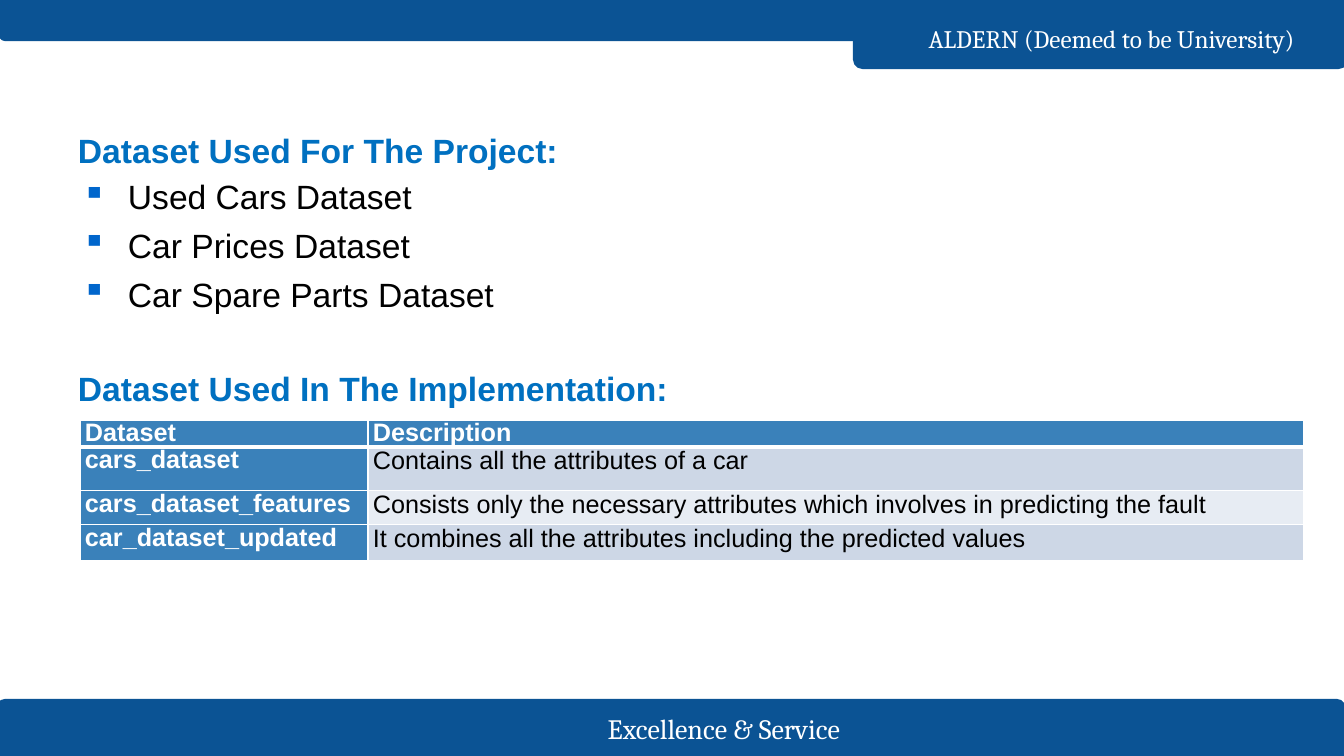
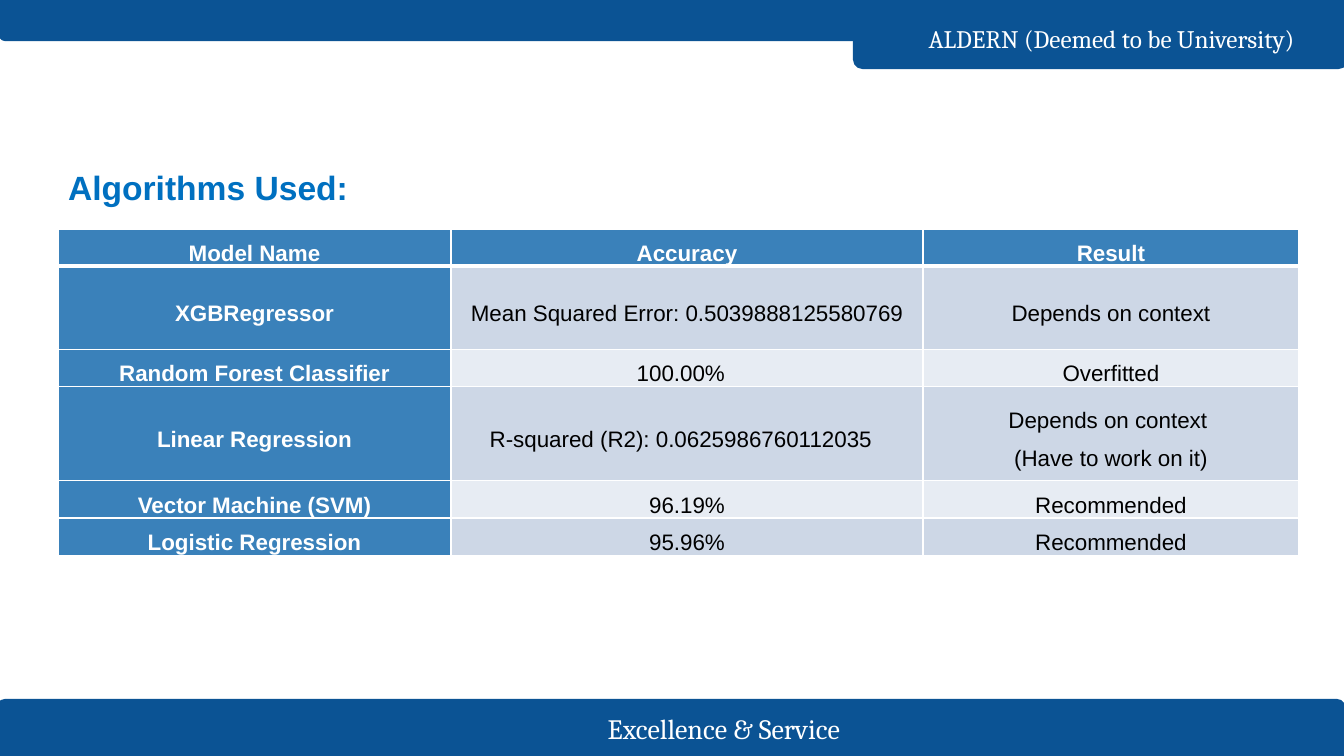
"""Build two slides on the datasets and algorithms of a car project."""
from dataclasses import dataclass, field
from typing import Any

from lxml import etree
from pptx import Presentation
from pptx import util as u
from pptx.dml.color import RGBColor
from pptx.enum import shapes, text
from pptx.oxml import ns

EMU_PER_PX = 914400 / 100.8
Box = tuple[int, int, int, int]
AL, ANC = text.PP_ALIGN, text.MSO_ANCHOR


@dataclass(frozen=True)
class Type:
    size: int
    color: str
    bold: bool = False
    font: str = "Arial"


@dataclass(frozen=True)
class Theme:
    band: str = "0B5394"
    bullet: str = "0066CC"
    key: str = "3A81BA"
    rows: tuple[str, str] = ("CDD7E6", "E7ECF3")
    rule: str = "FFFFFF"
    title: Type = Type(24, "0070C0", True)
    body: Type = Type(24, "000000")
    footer: Type = Type(20, "FFFFFF", font="Cambria")
    header: Type = Type(18, "FFFFFF", font="Cambria")


THEME = Theme()


@dataclass(frozen=True)
class Band:
    box: Box
    rotation: int


@dataclass(frozen=True)
class Label:
    box: Box
    lines: tuple[str, ...]
    type: Type
    anchor: Any = ANC.BOTTOM
    para: dict[str, Any] = field(default_factory=lambda: {"alignment": AL.LEFT})


@dataclass(frozen=True)
class Grid:
    origin: tuple[int, int]
    cols: tuple[int, ...]
    heights: tuple[int, ...]
    rows: tuple[tuple[str, ...], ...]
    size: int
    margin: int
    anchor: Any
    para: dict[str, Any]
    value_para: dict[str, Any]


def px(n: float) -> int:
    """Turn pixels into EMU."""
    return u.Emu(round(n * EMU_PER_PX))


def rgb(color: str) -> RGBColor:
    """Turn a hex string into a colour."""
    return RGBColor.from_string(color)


def apply(obj: Any, values: dict[str, Any]) -> None:
    """Set attributes from a dict of format values."""
    for name, value in values.items():
        setattr(obj, name, value)


def write(tf: Any, lines: tuple[str, ...], style: Type, para: dict[str, Any]) -> None:
    """Write one formatted paragraph for each line."""
    for i, line in enumerate(lines):
        p = tf.add_paragraph() if i else tf.paragraphs[0]
        apply(p, para)
        r = p.add_run()
        r.text = line
        apply(r.font, {"size": u.Pt(style.size), "bold": style.bold, "name": style.font})
        r.font.color.rgb = rgb(style.color)


def fill_label(sp: Any, label: Label) -> Any:
    """Place a text shape and write its label."""
    apply(sp, dict(zip(("left", "top", "width", "height"), map(px, label.box))))
    tf = sp.text_frame
    apply(tf, {"word_wrap": True, "auto_size": text.MSO_AUTO_SIZE.NONE,
               "vertical_anchor": label.anchor})
    apply(tf, {f"margin_{side}": px(10) for side in ("left", "top", "right", "bottom")})
    write(tf, label.lines, label.type, label.para)
    return sp


def add_label(slide: Any, label: Label) -> Any:
    """Add a text box with its label."""
    return fill_label(slide.shapes.add_textbox(*map(px, label.box)), label)


def add_band(slide: Any, band: Band) -> Any:
    """Add a band with two rounded corners."""
    sp = slide.shapes.add_shape(shapes.MSO_SHAPE.ROUND_2_SAME_RECTANGLE, *map(px, band.box))
    apply(sp, {"rotation": band.rotation})
    sp.adjustments[0], sp.adjustments[1] = 0.125, 0
    sp.shadow.inherit = False
    sp.fill.solid()
    sp.fill.fore_color.rgb = rgb(THEME.band)
    sp.line.color.rgb = rgb(THEME.band)
    sp.line.width = u.Pt(1.5)
    return sp


def add_bullets(sp: Any) -> None:
    """Give each paragraph a hanging square bullet."""
    for p in sp.text_frame.paragraphs:
        pPr = p._p.get_or_add_pPr()
        pPr.set("marL", str(px(50)))
        pPr.set("indent", str(px(-46)))
        color = etree.SubElement(pPr, ns.qn("a:buClr"))
        etree.SubElement(color, ns.qn("a:srgbClr"), val=THEME.bullet)
        etree.SubElement(pPr, ns.qn("a:buChar"), char="▪")


def rule_cell(cell: Any, bottom: int) -> None:
    """Draw the four borders of a cell."""
    tcPr = cell._tc.get_or_add_tcPr()
    for side, points in (("L", 1), ("R", 1), ("T", 1), ("B", bottom)):
        ln = etree.SubElement(tcPr, ns.qn(f"a:ln{side}"), w=str(u.Pt(points)))
        solid = etree.SubElement(ln, ns.qn("a:solidFill"))
        etree.SubElement(solid, ns.qn("a:srgbClr"), val=THEME.rule)


def add_grid(slide: Any, grid: Grid) -> None:
    """Add a table with a coloured header row and first column."""
    size = (sum(grid.cols), sum(grid.heights))
    table = slide.shapes.add_table(len(grid.heights), len(grid.cols),
                                   *map(px, grid.origin + size)).table
    apply(table, {"first_row": False, "horz_banding": False})
    for col, width in zip(table.columns, grid.cols):
        col.width = px(width)
    for i, (row, height, values) in enumerate(zip(table.rows, grid.heights, grid.rows)):
        row.height = px(height)
        for j, (cell, value) in enumerate(zip(row.cells, values)):
            is_key = i == 0 or j == 0
            apply(cell, {"margin_left": px(grid.margin), "margin_right": px(grid.margin),
                         "margin_top": 0, "margin_bottom": 0,
                         "vertical_anchor": grid.anchor})
            rule_cell(cell, 1 if i else 3)
            cell.fill.solid()
            cell.fill.fore_color.rgb = rgb(THEME.key if is_key else THEME.rows[(i - 1) % 2])
            style = Type(grid.size, "FFFFFF" if is_key else "000000", is_key)
            para = grid.para if is_key else grid.value_para
            write(cell.text_frame, tuple(value.split("\n")), style, para)


def heading(left: int, top: int, line: str) -> Label:
    """Describe a heading in the shared title style."""
    return Label((left, top, 1210, 89), (line,), THEME.title)


BANDS = (Band((-2, 700, 1346, 56), 0), Band((0, 0, 1346, 40), 180),
         Band((854, 0, 493, 68), 180))
FRAME_LABELS = (
    Label((433, 712, 582, 32), ("Excellence & Service",), THEME.footer, ANC.MIDDLE,
          {"alignment": AL.CENTER}),
    Label((902, 15, 419, 40), ("ALDERN (Deemed to be University)",), THEME.header,
          ANC.MIDDLE, {"alignment": AL.CENTER, "line_spacing": 1.2}),
)
DATASETS = Label((68, 166, 1210, 176),
                 ("Used Cars Dataset", "Car Prices Dataset", "Car Spare Parts Dataset"),
                 THEME.body, ANC.TOP, {"alignment": AL.JUSTIFY, "space_before": u.Pt(6)})
DATASET_GRID = Grid(
    (80, 420), (288, 936), (19, 44, 34, 36),
    (("Dataset", "Description"),
     ("cars_dataset", "Contains all the attributes of a car"),
     ("cars_dataset_features",
      "Consists only the necessary attributes which involves in predicting the fault"),
     ("car_dataset_updated",
      "It combines all the attributes including the predicted values")),
    18, 5, ANC.TOP, {"line_spacing": 0.95, "space_after": u.Pt(6)},
    {"space_after": u.Pt(6)})
CENTERED = {"alignment": AL.CENTER, "line_spacing": 1.5}
MODEL_GRID = Grid(
    (58, 229), (393, 472, 376), (17, 83, 34, 94, 34, 19),
    (("Model Name", "Accuracy", "Result"),
     ("XGBRegressor", "Mean Squared Error: 0.5039888125580769", "Depends on context"),
     ("Random Forest Classifier", "100.00% \u00a0", "Overfitted"),
     ("Linear Regression", "R-squared (R2): 0.0625986760112035 \u00a0",
      "Depends on context \n(Have to work on it)"),
     ("Vector Machine (SVM)", "96.19%", "Recommended"),
     ("Logistic Regression", "95.96%", "Recommended")),
    16, 7, ANC.MIDDLE, CENTERED, CENTERED)


def build_frame(slide: Any, layout: Any) -> None:
    """Move the shared bands and labels into the layout."""
    for holder in list(layout.placeholders)[1:]:
        layout.shapes.element.remove(holder.element)
    frame = [add_band(slide, band) for band in BANDS]
    frame += [add_label(slide, label) for label in FRAME_LABELS]
    for sp in frame:
        layout.shapes.element.append(sp.element)


def main() -> None:
    """Build and save the presentation."""
    prs = Presentation()
    apply(prs, {"slide_width": px(1344), "slide_height": px(756)})
    layout = prs.slide_layouts[5]
    datasets = prs.slides.add_slide(layout)
    build_frame(datasets, layout)
    fill_label(datasets.shapes.title, heading(68, 91, "Dataset Used For The Project:"))
    add_bullets(add_label(datasets, DATASETS))
    add_grid(datasets, DATASET_GRID)
    add_label(datasets, heading(68, 329, "Dataset Used In The Implementation:"))

    algorithms = prs.slides.add_slide(layout)
    fill_label(algorithms.shapes.title, heading(58, 128, "Algorithms Used:"))
    add_grid(algorithms, MODEL_GRID)
    prs.save("out.pptx")


main()
